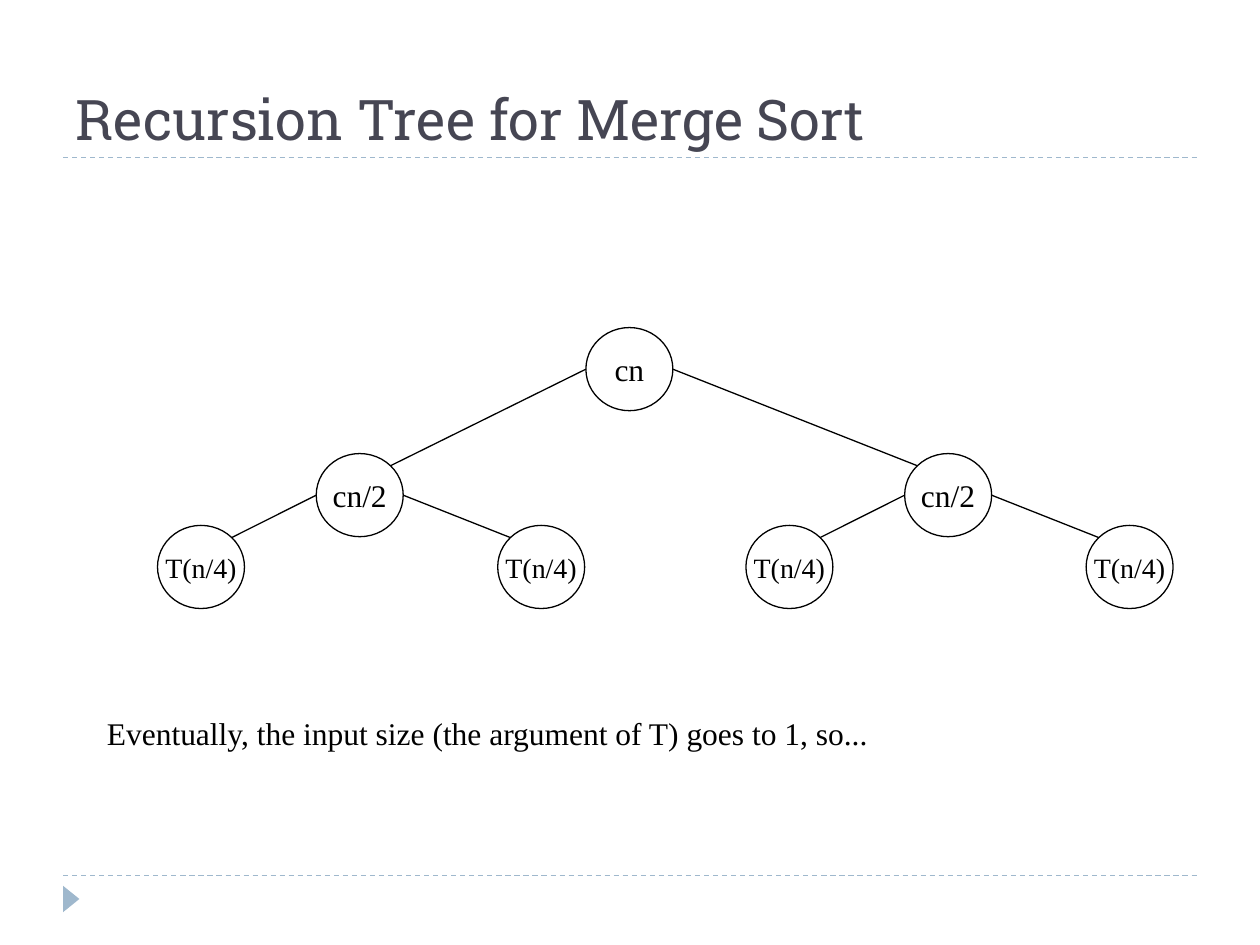
"""Builds the slide showing the recursion tree for merge sort."""
import dataclasses
import math

import lxml.etree
import pptx
import pptx.dml.color
import pptx.enum.dml
import pptx.enum.shapes
import pptx.enum.text
import pptx.oxml.ns
import pptx.util

Inches = pptx.util.Inches
Anchor = pptx.enum.text.MSO_ANCHOR
Align = pptx.enum.text.PP_ALIGN
Shape = pptx.enum.shapes.MSO_SHAPE


@dataclasses.dataclass(frozen=True)
class Theme:
    heading_font: str = "Roboto Slab"
    body_font: str = "Times New Roman"
    heading: str = "464653"
    ink: str = "000000"
    accent: str = "9FB8CD"
    title_size: int = 32
    body_size: int = 18
    leaf_size: int = 16
    line_width: float = 0.75


THEME = Theme()
TITLE = "Recursion Tree for Merge Sort"
REMARK = "Eventually, the input size (the argument of T) goes to 1, so..."
LEVELS = [
    ("cn", THEME.body_size, 2.6),
    ("cn/2", THEME.body_size, 3.6),
    ("T(n/4)", THEME.leaf_size, 4.17),
]
CHILD_OFFSETS = [(-2.14, 2.53), (-1.26, 1.44)]
ROOT_LEFT = 4.65
NODE_WIDTH, NODE_HEIGHT = 0.69, 0.66
DIAGONAL = math.sqrt(0.5) / 2
RULE_TOPS = [1.25, 6.95]

deck = pptx.Presentation()
deck.slide_width, deck.slide_height = Inches(10), Inches(7.5)
page = deck.slides.add_slide(deck.slide_layouts[6])


def rgb(value):
    return pptx.dml.color.RGBColor.from_string(value)


def write(frame, text, size, font, color, anchor, align=Align.LEFT):
    frame.vertical_anchor = anchor
    para = frame.paragraphs[0]
    para.alignment = align
    span = para.add_run()
    span.text = text
    span.font.size = pptx.util.Pt(size)
    span.font.name = font
    span.font.color.rgb = rgb(color)


def add_text(text, left, top, width, height, *style):
    box = page.shapes.add_textbox(*map(Inches, (left, top, width, height)))
    box.text_frame.word_wrap = True
    write(box.text_frame, text, *style)


def add_line(start, end, color):
    line = page.shapes.add_connector(
        pptx.enum.shapes.MSO_CONNECTOR.STRAIGHT, *map(Inches, (*start, *end)))
    line.line.color.rgb = rgb(color)
    line.line.width = pptx.util.Pt(THEME.line_width)
    lxml.etree.SubElement(line._element.spPr, pptx.oxml.ns.qn("a:effectLst"))
    return line


def add_node(left, level=0):
    text, size, top = LEVELS[level]
    node = page.shapes.add_shape(
        Shape.OVAL, *map(Inches, (left, top, NODE_WIDTH, NODE_HEIGHT)))
    node.shadow.inherit = False
    node.fill.background()
    node.line.color.rgb = rgb(THEME.ink)
    node.line.width = pptx.util.Pt(THEME.line_width)
    node.text_frame.word_wrap = False
    write(node.text_frame, text, size, THEME.body_font, THEME.ink,
          Anchor.MIDDLE, Align.CENTER)
    if level == len(CHILD_OFFSETS):
        return
    child_top = LEVELS[level + 1][2]
    for side, offset in zip((-1, 1), CHILD_OFFSETS[level]):
        child_left = left + offset
        start = (left + NODE_WIDTH * (1 + side) / 2, top + NODE_HEIGHT / 2)
        end = (child_left + NODE_WIDTH * (0.5 - side * DIAGONAL),
               child_top + NODE_HEIGHT * (0.5 - DIAGONAL))
        add_line(start, end, THEME.ink)
        add_node(child_left, level + 1)


for rule_top in RULE_TOPS:
    rule = add_line((0.5, rule_top), (9.5, rule_top), THEME.accent)
    rule.line.dash_style = pptx.enum.dml.MSO_LINE.DASH

marker = page.shapes.add_shape(
    Shape.ISOSCELES_TRIANGLE, *map(Inches, (0.46, 7.07, 0.21, 0.13)))
marker.rotation = 90
marker.shadow.inherit = False
marker.fill.solid()
marker.fill.fore_color.rgb = rgb(THEME.accent)
marker.line.fill.background()

add_text(TITLE, 0.5, 0.17, 9, 1.08, THEME.title_size, THEME.heading_font,
         THEME.heading, Anchor.BOTTOM)
add_node(ROOT_LEFT)
add_text(REMARK, 0.75, 5.62, 8.75, 0.5, THEME.body_size, THEME.body_font,
         THEME.ink, Anchor.TOP)

deck.save("out.pptx")
